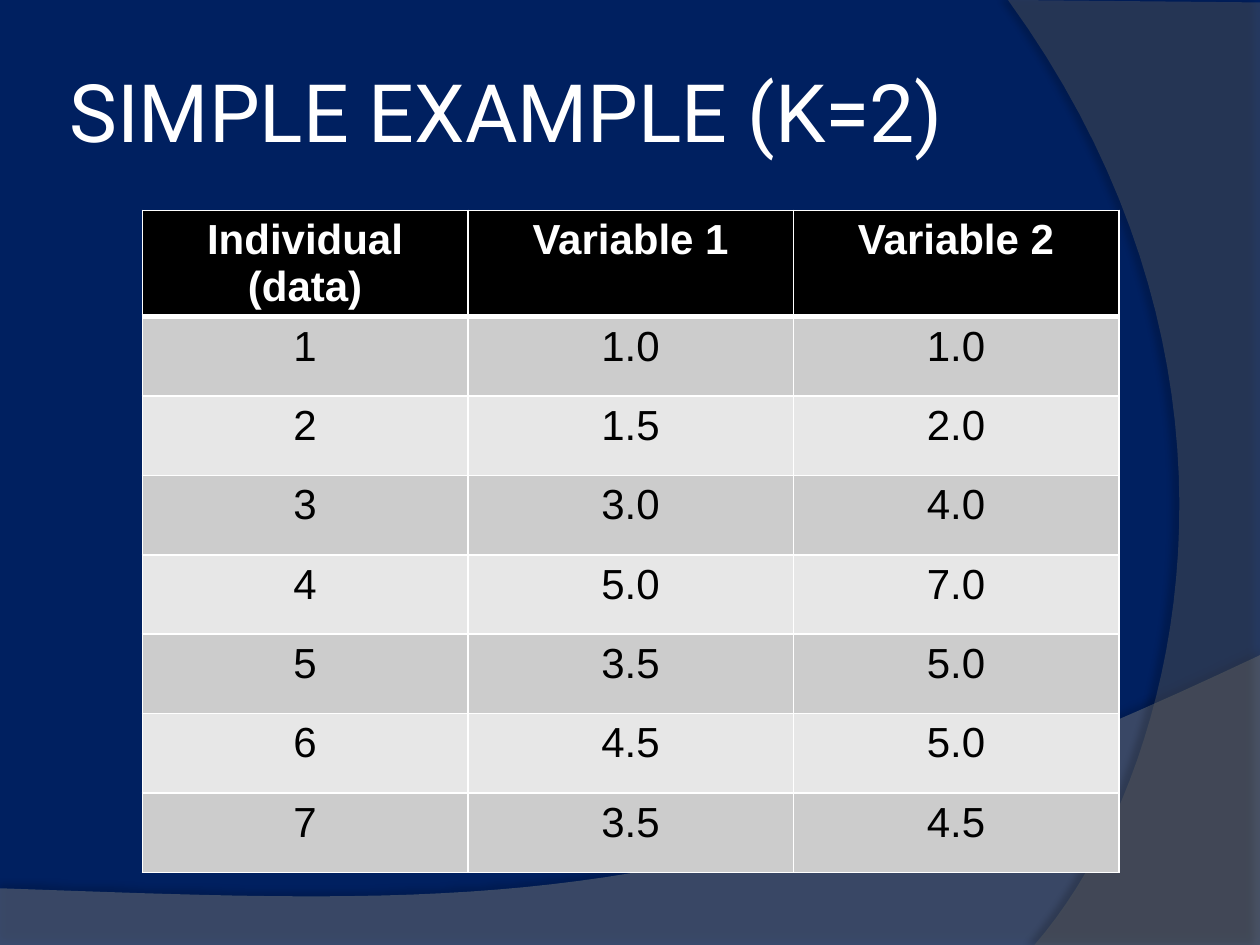
from lxml.etree import SubElement
from pptx import Presentation
from pptx.dml.color import RGBColor
from pptx.enum.text import MSO_ANCHOR, PP_ALIGN
from pptx.oxml.ns import qn
from pptx.util import Inches, Pt

NAVY = RGBColor(0x00, 0x20, 0x60)
WHITE = RGBColor(0xFF, 0xFF, 0xFF)
BLACK = RGBColor(0x00, 0x00, 0x00)
MID_GRAY = RGBColor(0x7F, 0x7F, 0x7F)
DARK_GRAY = RGBColor(0x5E, 0x5E, 0x5E)
BAND_DARK = RGBColor(0xCC, 0xCC, 0xCC)
BAND_LIGHT = RGBColor(0xE7, 0xE7, 0xE7)

WIDTH, HEIGHT = Inches(10), Inches(7.5)
CURVE_STEPS = 40

HEADERS = ["Individual\n(data)", "Variable 1", "Variable 2"]
OBSERVATIONS = [
    (1.0, 1.0), (1.5, 2.0), (3.0, 4.0), (5.0, 7.0),
    (3.5, 5.0), (4.5, 5.0), (3.5, 4.5),
]


def set_values(target, values):
    for attribute, value in values.items():
        setattr(target, attribute, value)


def bezier(start, control_1, control_2, end):
    for step in range(CURVE_STEPS + 1):
        t = step / CURVE_STEPS
        u = 1 - t
        weights = (u ** 3, 3 * u * u * t, 3 * u * t * t, t ** 3)
        yield tuple(
            sum(weight * value for weight, value in zip(weights, axis))
            for axis in zip(start, control_1, control_2, end)
        )


def add_swoosh(slide, corners, curve, color, opacity, shadow):
    points = [(Inches(x), Inches(y)) for x, y in [*corners, *bezier(*curve)]]
    builder = slide.shapes.build_freeform(*points[0])
    builder.add_line_segments(points[1:], close=True)
    swoosh = builder.convert_to_shape()
    swoosh.line.fill.background()
    swoosh.fill.solid()
    swoosh.fill.fore_color.rgb = color
    fill_color = swoosh.element.spPr.find(qn("a:solidFill"))[0]
    SubElement(fill_color, qn("a:alpha"), val=str(opacity * 1000))

    swoosh.shadow.inherit = False
    effects = swoosh.element.spPr.find(qn("a:effectLst"))
    outer = SubElement(
        effects, qn("a:outerShdw"),
        blurRad=str(Pt(shadow["blur"])), dist=str(Pt(shadow["distance"])),
        dir=str(shadow["angle"] * 60000), rotWithShape="0",
    )
    shadow_color = SubElement(outer, qn("a:srgbClr"), val=str(BLACK))
    SubElement(shadow_color, qn("a:alpha"), val=str(shadow["opacity"] * 1000))


def add_backdrop(slide):
    slide.background.fill.solid()
    slide.background.fill.fore_color.rgb = NAVY
    add_swoosh(
        slide, [(0, 7.5), (10, 7.5)],
        [(10, 5.2), (5.59, 7.29), (3.91, 7.19), (0, 7.05)],
        MID_GRAY, 45, {"opacity": 35, "blur": 4, "distance": 3.5, "angle": 270},
    )
    add_swoosh(
        slide, [(10, 0.02), (10, 7.5)],
        [(8.21, 7.5), (9.35, 6.19), (10.18, 3), (8, 0)],
        DARK_GRAY, 40, {"opacity": 45, "blur": 4, "distance": 4, "angle": 180},
    )


def place_title(slide, text, left, top, width, height):
    title = slide.shapes.title
    slide.shapes.element.append(title.element)
    set_values(title, {"left": left, "top": top, "width": width, "height": height})
    frame = title.text_frame
    frame.text = text
    inset = Inches(0.05)
    set_values(frame, {
        "margin_left": inset, "margin_right": inset,
        "margin_top": inset, "margin_bottom": inset,
        "vertical_anchor": MSO_ANCHOR.MIDDLE, "word_wrap": True,
    })
    heading = frame.paragraphs[0]
    heading.alignment = PP_ALIGN.LEFT
    set_values(heading.runs[0].font, {"size": Pt(46), "name": "Roboto"})
    heading.runs[0].font.color.rgb = WHITE


def add_borders(cell, bottom_width):
    properties = cell._tc.get_or_add_tcPr()
    widths = {"a:lnL": 1, "a:lnR": 1, "a:lnT": 1, "a:lnB": bottom_width}
    for index, (side, width) in enumerate(widths.items()):
        border = properties.makeelement(qn(side), {"w": str(Pt(width))})
        fill = SubElement(border, qn("a:solidFill"))
        SubElement(fill, qn("a:srgbClr"), val=str(WHITE))
        properties.insert(index, border)


def format_cell(cell, text, fill, color, is_header):
    cell.text = text
    cell.fill.solid()
    cell.fill.fore_color.rgb = fill
    for paragraph in cell.text_frame.paragraphs:
        paragraph.alignment = PP_ALIGN.CENTER
        for run in paragraph.runs:
            set_values(run.font, {"size": Pt(24), "name": "Arial", "bold": is_header})
            run.font.color.rgb = color
    add_borders(cell, 3 if is_header else 1)


def add_data_table(slide, left, top, width, row_height):
    rows = [HEADERS] + [
        [str(individual), *(f"{value:.1f}" for value in pair)]
        for individual, pair in enumerate(OBSERVATIONS, 1)
    ]
    table = slide.shapes.add_table(
        len(rows), len(HEADERS), left, top, width, row_height * len(rows)
    ).table
    for row_index, row in enumerate(rows):
        is_header = row_index == 0
        band = BAND_DARK if row_index % 2 else BAND_LIGHT
        fill, color = (BLACK, WHITE) if is_header else (band, BLACK)
        for column_index, text in enumerate(row):
            format_cell(table.cell(row_index, column_index), text, fill, color, is_header)


def main():
    presentation = Presentation()
    set_values(presentation, {"slide_width": WIDTH, "slide_height": HEIGHT})
    slide = presentation.slides.add_slide(presentation.slide_layouts[5])
    add_backdrop(slide)
    place_title(slide, "SIMPLE EXAMPLE (K=2)",
                Inches(0.5), Inches(0.25), Inches(8.17), Inches(1.25))
    add_data_table(slide, Inches(1.13), Inches(1.67), Inches(7.75), Inches(0.63))
    presentation.save("out.pptx")


if __name__ == "__main__":
    main()
